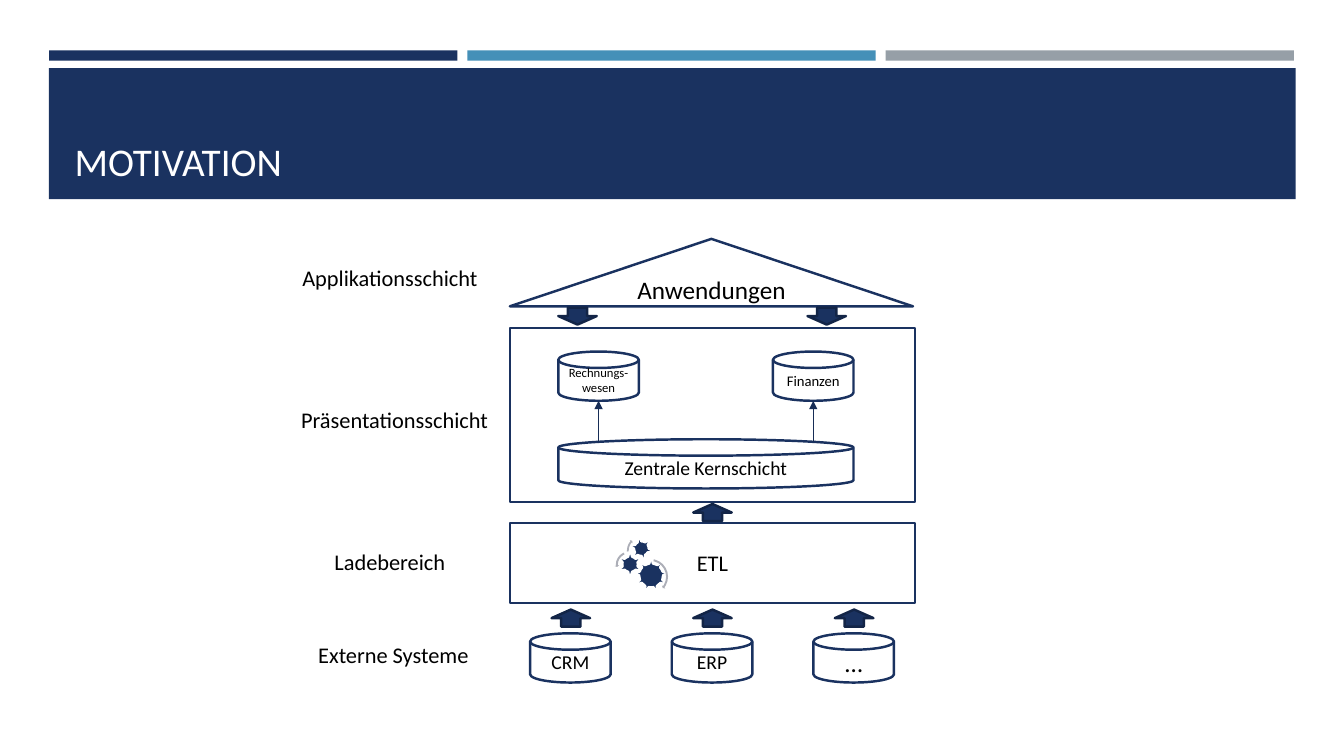
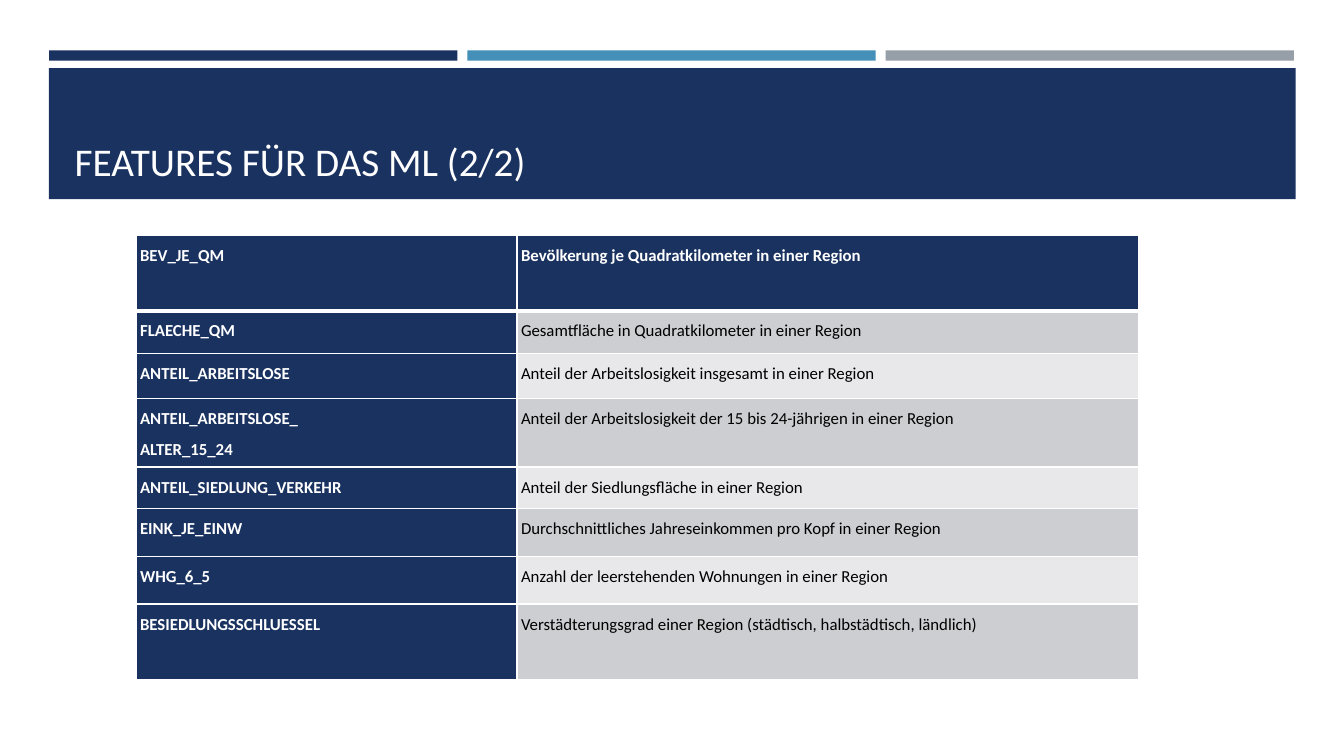
from lxml import etree
from pptx import Presentation
from pptx.dml.color import RGBColor
from pptx.enum.shapes import MSO_CONNECTOR, MSO_SHAPE
from pptx.enum.text import MSO_ANCHOR, PP_ALIGN
from pptx.oxml import parse_xml
from pptx.oxml.ns import nsdecls, qn
from pptx.util import Cm, Pt

RECTANGLE = MSO_SHAPE.RECTANGLE
TRIANGLE = MSO_SHAPE.ISOSCELES_TRIANGLE
DISK = MSO_SHAPE.FLOWCHART_MAGNETIC_DISK
DOWN_ARROW = MSO_SHAPE.DOWN_ARROW
GEAR_6, GEAR_9 = MSO_SHAPE.GEAR_6, MSO_SHAPE.GEAR_9
ARC, LEFT_ARC = MSO_SHAPE.CIRCULAR_ARROW, MSO_SHAPE.LEFT_CIRCULAR_ARROW
STRAIGHT = MSO_CONNECTOR.STRAIGHT
MIDDLE, BOTTOM = MSO_ANCHOR.MIDDLE, MSO_ANCHOR.BOTTOM
LEFT, CENTER, JUSTIFY = PP_ALIGN.LEFT, PP_ALIGN.CENTER, PP_ALIGN.JUSTIFY

NAVY = RGBColor(0x1A, 0x32, 0x60)
DARK_NAVY = RGBColor(0x13, 0x25, 0x47)
CONNECTOR_NAVY = RGBColor(0x17, 0x2D, 0x56)
BLUE = RGBColor(0x45, 0x90, 0xB8)
GRAY = RGBColor(0x96, 0x9F, 0xA7)
ARC_GRAY = RGBColor(0xAC, 0xAE, 0xB7)
ROW_DARK = RGBColor(0xCD, 0xCE, 0xD2)
ROW_LIGHT = RGBColor(0xE8, 0xE8, 0xEA)
WHITE = RGBColor(0xFF, 0xFF, 0xFF)
BLACK = RGBColor(0x00, 0x00, 0x00)
FONT = "Calibri"


def draw(shapes, kind, left, top, width, height, fill=None, line=None):
    shape = shapes.add_shape(kind, Cm(left), Cm(top), Cm(width), Cm(height))
    shape.shadow.inherit = False
    if fill is None:
        shape.fill.background()
    else:
        shape.fill.solid()
        shape.fill.fore_color.rgb = fill
    if line is None:
        shape.line.fill.background()
    else:
        shape.line.color.rgb = line
        shape.line.width = Pt(1.75)
    return shape


def write(frame, text, size, color=BLACK, align=LEFT, bold=False, spacing=None):
    frame.word_wrap = True
    frame.text = text
    for paragraph in frame.paragraphs:
        paragraph.alignment = align
        paragraph.line_spacing = spacing
        paragraph.font.name = FONT
        paragraph.font.size = Pt(size)
        paragraph.font.bold = bold
        paragraph.font.color.rgb = color


presentation = Presentation()
presentation.slide_width = Cm(33.87)
presentation.slide_height = Cm(19.05)

slides = []
for title in ("MOTIVATION", "FEATURES FÜR DAS ML (2/2)"):
    slide = presentation.slides.add_slide(presentation.slide_layouts[6])
    for index, color in enumerate((NAVY, BLUE, GRAY)):
        draw(slide.shapes, RECTANGLE, 1.24 + index * 10.54, 1.27, 10.29, 0.26, color)
    draw(slide.shapes, RECTANGLE, 1.23, 1.72, 31.42, 3.3, NAVY)
    title_box = slide.shapes.add_textbox(Cm(1.63), Cm(1.96), Cm(30.63), Cm(2.82))
    title_box.text_frame.vertical_anchor = BOTTOM
    write(title_box.text_frame, title, 28, WHITE)
    slides.append(slide)
motivation, features = slides

layer_labels = (
    ("Applikationsschicht", 7.37, 6.53, 6.96),
    ("Präsentationsschicht", 7.34, 10.11, 6.96),
    ("Ladebereich", 8.18, 13.69, 4.55),
    ("Externe Systeme", 7.77, 16.03, 5.31),
)
for text, left, top, width in layer_labels:
    label = motivation.shapes.add_textbox(Cm(left), Cm(top), Cm(width), Cm(0.94))
    write(label.text_frame, text, 16)

DISK_WIDTH, DISK_HEIGHT = 2.03, 1.24
CORE_LEFT, CORE_WIDTH = 14.07, 7.44
MART_TOP = 8.86
SYSTEM_LEFT, SYSTEM_TOP, SYSTEM_PITCH = 13.36, 15.96, 3.57
mart_lefts = (CORE_LEFT, CORE_LEFT + CORE_WIDTH - DISK_WIDTH)

draw(motivation.shapes, RECTANGLE, 12.85, 8.26, 10.21, 4.39, line=NAVY)
blocks = [
    (TRIANGLE, "Anwendungen", 18, 12.85, 6.02, 10.16, 1.7, None),
    (RECTANGLE, "ETL", 16, 12.85, 13.18, 10.21, 2.01, None),
    (DISK, "Zentrale Kernschicht", 14, CORE_LEFT, 11.07, CORE_WIDTH, DISK_HEIGHT, WHITE),
]
for left, text, size in zip(mart_lefts, ("Rechnungs-wesen", "Finanzen"), (9, 10.5)):
    blocks.append((DISK, text, size, left, MART_TOP, DISK_WIDTH, DISK_HEIGHT, WHITE))
for index, (text, size) in enumerate((("CRM", 14), ("ERP", 14), ("…", 18))):
    left = SYSTEM_LEFT + index * SYSTEM_PITCH
    blocks.append((DISK, text, size, left, SYSTEM_TOP, DISK_WIDTH, DISK_HEIGHT, WHITE))
for kind, text, size, left, top, width, height, fill in blocks:
    block = draw(motivation.shapes, kind, left, top, width, height, fill, NAVY)
    frame = block.text_frame
    frame.vertical_anchor = MIDDLE
    frame.margin_left = frame.margin_right = Cm(0.1)
    write(frame, text, size, align=CENTER)

flow_arrows = [(14.07, 7.75, 0), (20.35, 7.75, 0), (17.47, 12.7, 180)]
flow_arrows += [(13.9 + index * SYSTEM_PITCH, 15.36, 180) for index in range(3)]
for left, top, rotation in flow_arrows:
    arrow = draw(motivation.shapes, DOWN_ARROW, left, top, 0.97, 0.43, NAVY, DARK_NAVY)
    arrow.rotation = rotation

gear_group = motivation.shapes.add_group_shape()
gears = (
    (GEAR_9, 16.03, 14.12, 0.76, 0),
    (GEAR_6, 15.6, 13.94, 0.56, 0),
    (GEAR_6, 15.9, 13.56, 0.53, 345),
)
for kind, left, top, size, rotation in gears:
    gear = draw(gear_group.shapes, kind, left, top, size, size, NAVY, WHITE)
    gear.rotation = rotation
arcs = (
    (ARC, 15.9, 14.05, 0.97, (0.05, 2.99, 22.07, 169.26, 0.06)),
    (LEFT_ARC, 15.49, 13.87, 0.71, (0.07, 4.3, 104.89, 148.38, 0.08)),
    (ARC, 15.77, 13.49, 0.76, (0.06, 3.94, 133.14, 105.08, 0.07)),
)
for kind, left, top, size, adjustments in arcs:
    arc = draw(gear_group.shapes, kind, left, top, size, size, ARC_GRAY)
    for index, value in enumerate(adjustments):
        arc.adjustments[index] = value

for left in mart_lefts:
    center = Cm(left + DISK_WIDTH / 2)
    connector = motivation.shapes.add_connector(
        STRAIGHT, center, Cm(11.15), center, Cm(MART_TOP + DISK_HEIGHT)
    )
    connector.line.color.rgb = CONNECTOR_NAVY
    connector.line.width = Pt(1)
    line_element = connector.line._get_or_add_ln()
    etree.SubElement(line_element, qn("a:tailEnd"), type="triangle")
    etree.SubElement(connector._element.spPr, qn("a:effectLst"))

feature_rows = (
    ("BEV_JE_QM", "Bevölkerung je Quadratkilometer in einer Region", 1.91),
    ("FLAECHE_QM", "Gesamtfläche in Quadratkilometer in einer Region", 1.07),
    ("ANTEIL_ARBEITSLOSE", "Anteil der Arbeitslosigkeit insgesamt in einer Region", 1.14),
    (
        "ANTEIL_ARBEITSLOSE_\nALTER_15_24",
        "Anteil der Arbeitslosigkeit der 15 bis 24-jährigen in einer Region",
        1.73,
    ),
    ("ANTEIL_SIEDLUNG_VERKEHR", "Anteil der Siedlungsfläche in einer Region", 1.04),
    ("EINK_JE_EINW", "Durchschnittliches Jahreseinkommen pro Kopf in einer Region", 1.22),
    ("WHG_6_5", "Anzahl der leerstehenden Wohnungen in einer Region", 1.19),
    (
        "BESIEDLUNGSSCHLUESSEL",
        "Verstädterungsgrad einer Region (städtisch, halbstädtisch, ländlich)",
        1.91,
    ),
)
table = features.shapes.add_table(
    len(feature_rows), 2, Cm(3.43), Cm(5.92), Cm(25.27), Cm(11.21)
).table
table.first_row = False
table.horz_banding = False
table.columns[0].width = Cm(9.6)
table.columns[1].width = Cm(15.67)
for row, (name, description, height) in enumerate(feature_rows):
    table.rows[row].height = Cm(height)
    for column, text in enumerate((name, description)):
        cell = table.cell(row, column)
        cell.margin_left = cell.margin_right = Cm(0.1)
        cell.margin_top = cell.margin_bottom = 0
        properties = cell._tc.get_or_add_tcPr()
        for side in "LRTB":
            thick = (row, side) in ((0, "B"), (1, "T"))
            properties.append(parse_xml(
                f'<a:ln{side} {nsdecls("a")} w="{Pt(3 if thick else 1)}">'
                f'<a:solidFill><a:srgbClr val="{WHITE}"/></a:solidFill></a:ln{side}>'
            ))
        heading = row == 0 or column == 0
        cell.fill.solid()
        cell.fill.fore_color.rgb = NAVY if heading else (ROW_LIGHT, ROW_DARK)[row % 2]
        color = WHITE if heading else BLACK
        write(cell.text_frame, text, 12, color, JUSTIFY, heading, 1.5)

presentation.save("out.pptx")
